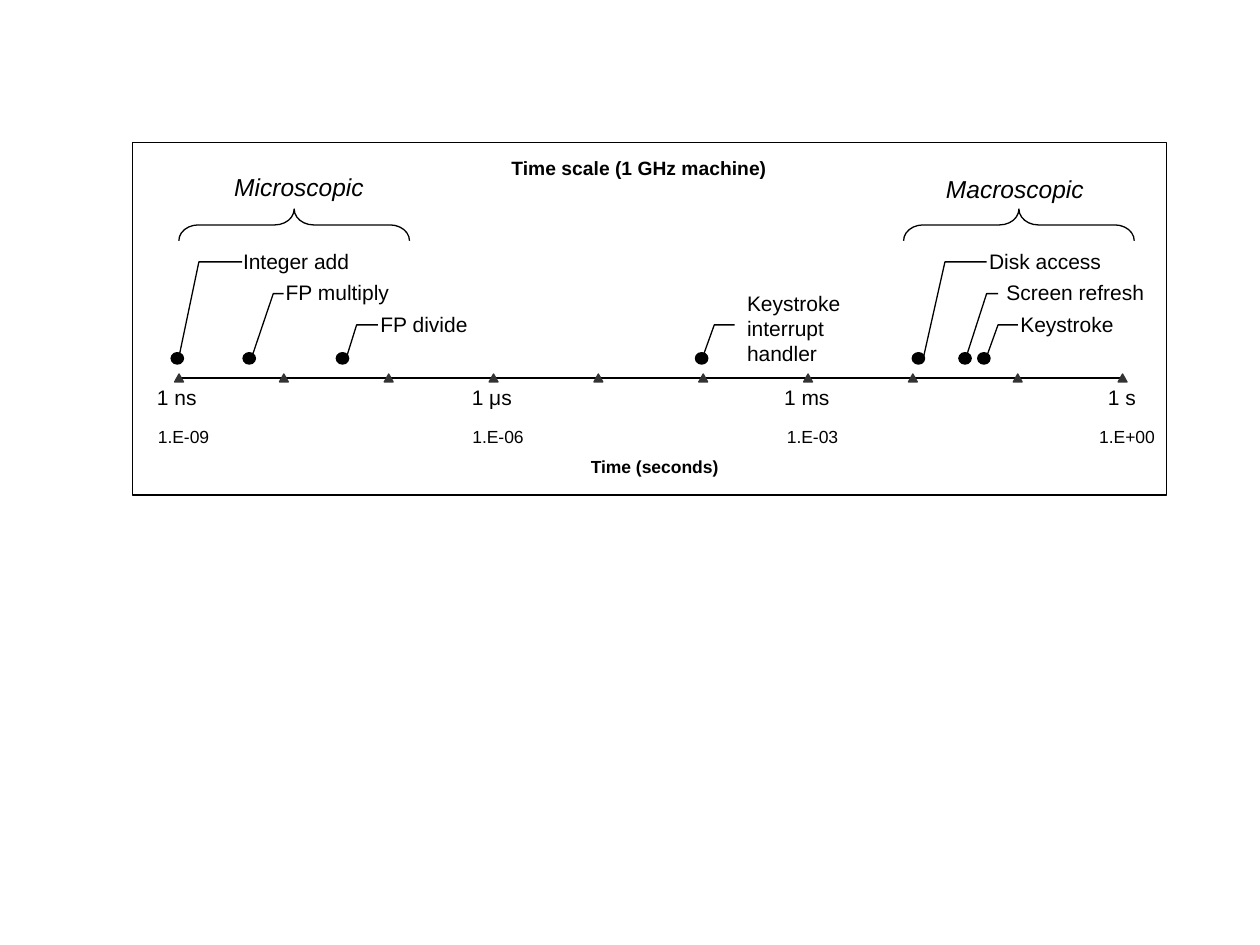
import pptx
import pptx.util
import pptx.dml.color
import pptx.enum.shapes
import pptx.enum.text

Cm = pptx.util.Cm
Pt = pptx.util.Pt
SHAPE = pptx.enum.shapes.MSO_SHAPE
ALIGN = pptx.enum.text.PP_ALIGN
BLACK = pptx.dml.color.RGBColor(0x00, 0x00, 0x00)
DARK_GRAY = pptx.dml.color.RGBColor(0x33, 0x33, 0x33)

deck = pptx.Presentation()
deck.slide_width, deck.slide_height = Cm(25.4), Cm(19.05)
page = deck.slides.add_slide(deck.slide_layouts[5])


def write(box, text, size, align=ALIGN.LEFT, inset=True, bold=False, italic=False):
    frame = box.text_frame
    frame.word_wrap = False
    frame.auto_size = pptx.enum.text.MSO_AUTO_SIZE.NONE
    frame.vertical_anchor = pptx.enum.text.MSO_ANCHOR.TOP
    frame.margin_left = frame.margin_right = Cm(0.25 if inset else 0)
    frame.margin_top = frame.margin_bottom = Cm(0.13 if inset else 0)
    frame.text = text
    for para in frame.paragraphs:
        para.alignment = align
        for span in para.runs:
            span.font.name = "Arial"
            span.font.size = Pt(size)
            span.font.bold = bold
            span.font.italic = italic
            span.font.color.rgb = BLACK


def style(shape, line, fill=None, weight=0.75):
    shape.shadow.inherit = False
    shape.line.color.rgb = line
    shape.line.width = Pt(weight)
    if fill is None:
        shape.fill.background()
    else:
        shape.fill.solid()
        shape.fill.fore_color.rgb = fill


# Title and frame
title = page.shapes.title
title.left, title.top, title.width, title.height = Cm(10.31), Cm(3.15), Cm(5.16), Cm(0.46)
write(title, "Time scale (1 GHz machine)", 11, inset=False, bold=True)
border = page.shapes.add_shape(SHAPE.RECTANGLE, Cm(2.67), Cm(2.87), Cm(20.85), Cm(7.11))
style(border, BLACK, weight=0)

# Time axis: one tick per decade
axis_start, axis_end, axis_y, decades = 3.61, 22.63, 7.62, 9
axis = page.shapes.add_connector(
    pptx.enum.shapes.MSO_CONNECTOR.STRAIGHT,
    Cm(axis_start), Cm(axis_y), Cm(axis_end), Cm(axis_y))
axis.line.color.rgb = BLACK
axis.line.width = Pt(1.62)
axis._element.spPr.append(pptx.oxml.parse_xml(
    '<a:effectLst xmlns:a="http://schemas.openxmlformats.org/drawingml/2006/main"/>'))
for decade in range(decades + 1):
    x = axis_start + decade * (axis_end - axis_start) / decades
    tick = page.shapes.add_shape(
        SHAPE.ISOSCELES_TRIANGLE, Cm(x - 0.09), Cm(axis_y - 0.08), Cm(0.18), Cm(0.16))
    style(tick, DARK_GRAY, DARK_GRAY)

# Axis labels
scale = [("1 ns", "1.E-09"), ("1 μs", "1.E-06"), ("1 ms", "1.E-03"), ("1 s", "1.E+00")]
for index, (unit, power) in enumerate(scale):
    box = page.shapes.add_textbox(Cm(2.74 + 6.35 * index), Cm(7.62), Cm(1.65), Cm(0.76))
    write(box, unit, 12, ALIGN.CENTER)
    box = page.shapes.add_textbox(Cm(3.18 + 6.34 * index), Cm(8.59), Cm(1.04), Cm(0.43))
    write(box, power, 10, ALIGN.CENTER, inset=False)
box = page.shapes.add_textbox(Cm(11.91), Cm(9.19), Cm(2.59), Cm(0.43))
write(box, "Time (seconds)", 10, inset=False, bold=True)

# Events: text, dot left, leader (start, bend, end, height), label (left, top, width, height)
events = [
    ("Integer add", 3.45, (3.61, 4.01, 4.88, 5.28), (4.65, 4.88, 2.64, 0.76)),
    ("FP multiply", 4.90, (5.08, 5.51, 5.72, 5.92), (5.51, 5.51, 2.59, 0.76)),
    ("FP divide", 6.78, (6.99, 7.19, 7.62, 6.55), (7.42, 6.15, 2.26, 0.76)),
    ("Keystroke\ninterrupt\nhandler", 14.02, (14.17, 14.40, 14.81, 6.55),
     (14.81, 5.72, 2.39, 1.78)),
    ("Disk access", 18.39, (18.62, 19.05, 19.89, 5.28), (19.69, 4.88, 2.77, 0.76)),
    ("Screen refresh", 19.33, (19.48, 19.89, 20.12, 5.92), (20.04, 5.51, 3.28, 0.76)),
    ("Keystroke", 19.71, (19.89, 20.12, 20.52, 6.55), (20.32, 6.15, 2.39, 0.76)),
]
for text, dot_left, (start, bend, end, height), label in events:
    dot = page.shapes.add_shape(SHAPE.OVAL, Cm(dot_left), Cm(7.11), Cm(0.25), Cm(0.23))
    style(dot, BLACK, BLACK)
    outline = page.shapes.build_freeform(Cm(start), Cm(7.19))
    outline.add_line_segments(
        [(Cm(bend), Cm(height)), (Cm(end), Cm(height))], close=False)
    style(outline.convert_to_shape(), BLACK)
    box = page.shapes.add_textbox(*map(Cm, label))
    write(box, text, 12)

# Ranges: brace left, then name with its left, top and width
ranges = [(5.61, "Microscopic", 4.47, 3.33, 3.12), (20.22, "Macroscopic", 18.82, 3.38, 3.28)]
for brace_left, name, left, top, width in ranges:
    brace = page.shapes.add_shape(
        SHAPE.LEFT_BRACE, Cm(brace_left), Cm(2.21), Cm(0.64), Cm(4.65))
    brace.rotation = 90
    brace.adjustments[0] = 0.61
    style(brace, BLACK)
    box = page.shapes.add_textbox(Cm(left), Cm(top), Cm(width), Cm(0.86))
    write(box, name, 14, ALIGN.CENTER, italic=True)

deck.save("out.pptx")
